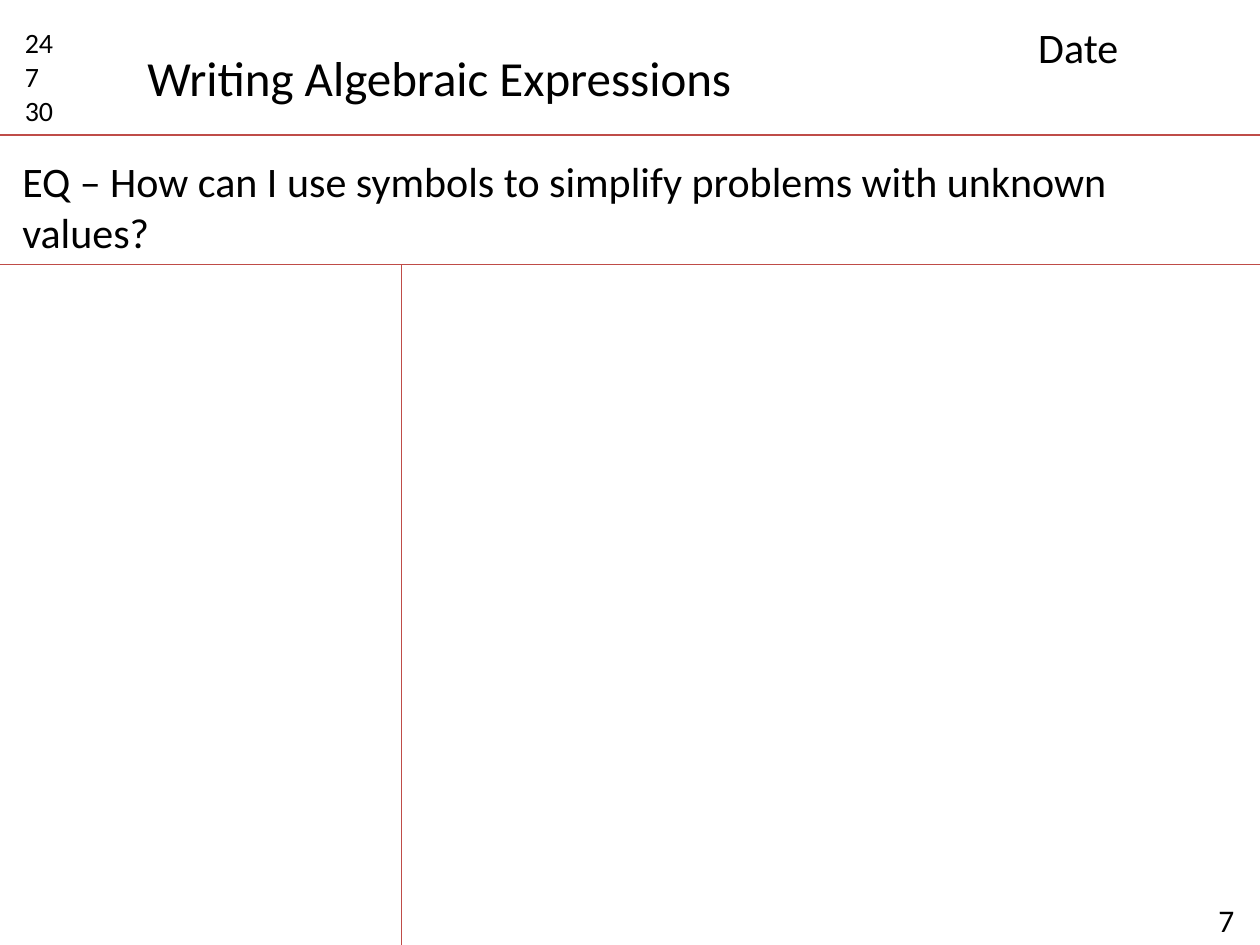
from lxml import etree
from pptx import Presentation
from pptx import util as u
from pptx.dml.color import RGBColor
from pptx.enum import shapes, text
from pptx.oxml.ns import qn

BLACK = RGBColor(0, 0, 0)
RED = RGBColor(0xBF, 0x4C, 0x48)
WIDE, HIGH = 25.4, 19.05
HEAD, QUEST = 2.72, 2.61  # heights of the two bands


def write(slide, box, lines, size, wrap=True):
    area = slide.shapes.add_textbox(*map(u.Cm, box))
    frame = area.text_frame
    frame.word_wrap = wrap
    frame.auto_size = text.MSO_AUTO_SIZE.SHAPE_TO_FIT_TEXT
    for i, line in enumerate(lines):
        para = frame.add_paragraph() if i else frame.paragraphs[0]
        run = para.add_run()
        run.text = line
        run.font.name = "Calibri"
        run.font.size = u.Pt(size)
        run.font.color.rgb = BLACK


def rule(slide, x1, y1, x2, y2):
    line = slide.shapes.add_connector(
        shapes.MSO_CONNECTOR.STRAIGHT, *map(u.Cm, (x1, y1, x2, y2)))
    line.line.color.rgb = RED
    line.line.width = u.Pt(0.75)
    etree.SubElement(line._element.spPr, qn("a:effectLst"))


def header(slide, x, y, w, h):
    write(slide, (x + 0.25, y + 0.4, 1.6, 2.31), ["24", "7", "30"], 16)
    write(slide, (x + 2.72, y + 0.84, 12.42, 1.45),
          ["Writing Algebraic Expressions"], 28, wrap=False)
    write(slide, (x + w - 4.72, y + 0.3, 4.39, 1.27), ["Date"], 24)
    rule(slide, x, y + h, x + w, y + h)


def question(slide, x, y, w, h):
    write(slide, (x + 0.2, y + 0.3, 22.6, 2.31),
          ["EQ – How can I use symbols to simplify problems "
           "with unknown values?"], 24)
    rule(slide, x, y + h, x + w, y + h)


def notes(slide, x, y, w, h):
    """Two-column writing area with the page number in its corner."""
    rule(slide, x + 8.1, y, x + 8.1, y + h + 0.48)
    write(slide, (x + w - 1.09, y + h - 1.02, 1.52, 1.02), ["7"], 18)


def main():
    deck = Presentation()
    deck.slide_width, deck.slide_height = u.Cm(WIDE), u.Cm(HIGH)
    slide = deck.slides.add_slide(deck.slide_layouts[6])
    top = HEAD + QUEST
    header(slide, 0, 0, WIDE, HEAD)
    question(slide, 0, HEAD, WIDE, QUEST)
    notes(slide, 0, top, WIDE, HIGH - top)
    deck.save("out.pptx")


if __name__ == "__main__":
    main()
